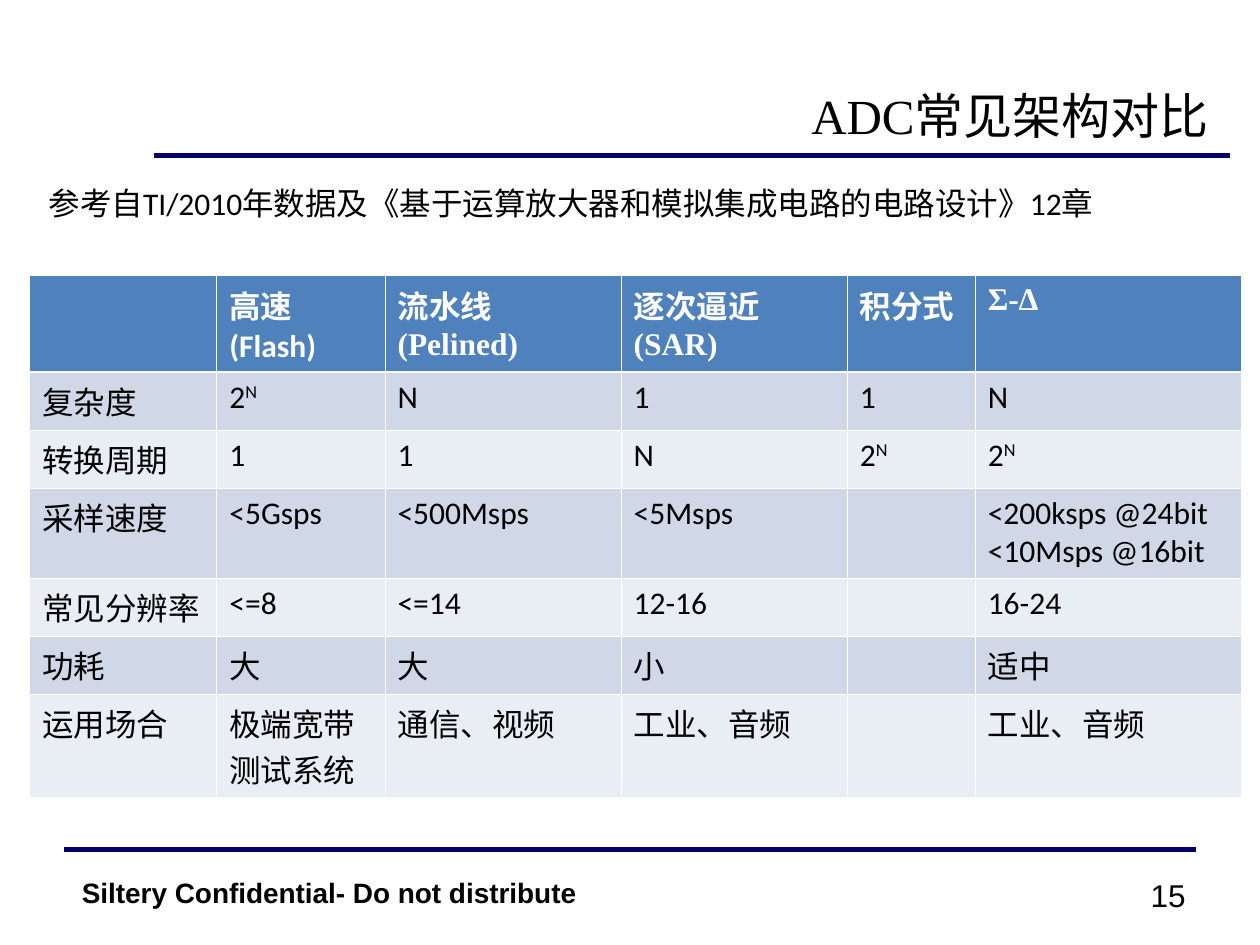
from dataclasses import dataclass

from lxml.etree import SubElement
from pptx import Presentation
from pptx.dml.color import RGBColor
from pptx.enum.shapes import MSO_CONNECTOR
from pptx.enum.text import MSO_ANCHOR, MSO_AUTO_SIZE, PP_ALIGN
from pptx.oxml.ns import qn
from pptx.util import Cm, Pt


@dataclass(frozen=True)
class Theme:
    text: str = "000000"
    rule: str = "000066"
    header_fill: str = "4F81BD"
    header_text: str = "FFFFFF"
    border: str = "FFFFFF"
    bands: tuple = ("D0D8E8", "E9EDF4")
    serif: str = "Times New Roman"
    body: str = "Calibri"
    footer: str = "Arial"
    title_size: int = 28
    body_size: int = 18
    footer_size: int = 16
    rule_width: int = 3
    thin_border: float = 0.45
    thick_border: float = 1.47


@dataclass(frozen=True)
class Box:
    """A region in centimetres."""
    left: float
    top: float
    width: float
    height: float

    def lengths(self):
        return Cm(self.left), Cm(self.top), Cm(self.width), Cm(self.height)


THEME = Theme()
COLUMN_WIDTHS = (3.77, 3.39, 4.76, 4.56, 2.58, 5.36)
ROW_HEIGHTS = (1.94, 1.17, 1.17, 1.81, 1.17, 1.17, 2.09)
# A caret raises what follows it; a line break starts a new paragraph.
ROWS = (
    ("", "高速(Flash)", "流水线(Pelined)", "逐次逼近(SAR)", "积分式", "Σ-∆"),
    ("复杂度", "2^N", "N", "1", "1", "N"),
    ("转换周期", "1", "1", "N", "2^N", "2^N"),
    ("采样速度", "<5Gsps", "<500Msps", "<5Msps", "", "<200ksps @24bit\n<10Msps @16bit"),
    ("常见分辨率", "<=8", "<=14", "12-16", "", "16-24"),
    ("功耗", "大", "大", "小", "", "适中"),
    ("运用场合", "极端宽带测试系统", "通信、视频", "工业、音频", "", "工业、音频"),
)


def add_run(paragraph, text, font_name, size, color=THEME.text, bold=False):
    run = paragraph.add_run()
    run.text = text
    run.font.name = font_name
    run.font.size = Pt(size)
    run.font.bold = bold
    run.font.color.rgb = RGBColor.from_string(color)
    return run


def add_label(slide, box, text, font_name, size, alignment=PP_ALIGN.LEFT, bold=False):
    frame = slide.shapes.add_textbox(*box.lengths()).text_frame
    frame.word_wrap = False
    frame.auto_size = MSO_AUTO_SIZE.SHAPE_TO_FIT_TEXT
    paragraph = frame.paragraphs[0]
    paragraph.alignment = alignment
    add_run(paragraph, text, font_name, size, bold=bold)


def add_rule(slide, left, top, width):
    rule = slide.shapes.add_connector(
        MSO_CONNECTOR.STRAIGHT, Cm(left), Cm(top), Cm(left + width), Cm(top))
    rule.line.color.rgb = RGBColor.from_string(THEME.rule)
    rule.line.width = Pt(THEME.rule_width)
    SubElement(rule.element.spPr, qn("a:effectLst"))


def add_heading(slide, box, text):
    """Right-aligned title with a rule beneath it."""
    title = slide.shapes.title
    title.left, title.top, title.width, title.height = box.lengths()
    frame = title.text_frame
    frame.vertical_anchor = MSO_ANCHOR.MIDDLE
    frame.auto_size = MSO_AUTO_SIZE.NONE
    paragraph = frame.paragraphs[0]
    paragraph.alignment = PP_ALIGN.RIGHT
    add_run(paragraph, text, THEME.serif, THEME.title_size)
    add_rule(slide, box.left - 1.32, box.top + box.height + 0.1, 21.69)


def add_footer(slide, box, notice, number):
    """Rule with the notice at its left end and the page number at its right."""
    add_rule(slide, box.left, box.top, box.width)
    add_label(slide, Box(box.left + 0.02, box.top + 0.41, 10.64, 0.94), notice,
              THEME.footer, THEME.footer_size, PP_ALIGN.CENTER, bold=True)
    add_label(slide, Box(box.left + 20.55, box.top + 0.41, 3.4, 1.02), number,
              THEME.footer, THEME.body_size, PP_ALIGN.CENTER)


def set_borders(cell, row_index):
    properties = cell._tc.get_or_add_tcPr()
    thick_side = {0: "lnB", 1: "lnT"}.get(row_index)
    for side in ("lnL", "lnR", "lnT", "lnB"):
        width = THEME.thick_border if side == thick_side else THEME.thin_border
        line = SubElement(properties, qn(f"a:{side}"), w=str(Pt(width)))
        SubElement(SubElement(line, qn("a:solidFill")), qn("a:srgbClr"), val=THEME.border)


def fill_cell(cell, text, row_index, column_index):
    header = row_index == 0
    set_borders(cell, row_index)
    cell.fill.solid()
    cell.fill.fore_color.rgb = RGBColor.from_string(
        THEME.header_fill if header else THEME.bands[(row_index - 1) % 2])
    font_name = THEME.serif if header and column_index > 1 else THEME.body
    color = THEME.header_text if header else THEME.text
    frame = cell.text_frame
    for index, line in enumerate(text.split("\n")):
        paragraph = frame.add_paragraph() if index else frame.paragraphs[0]
        paragraph.font.size = Pt(THEME.body_size)
        base, _, exponent = line.partition("^")
        if base:
            add_run(paragraph, base, font_name, THEME.body_size, color, header)
        if exponent:
            run = add_run(paragraph, exponent, font_name, THEME.body_size, color, header)
            run.font._element.set("baseline", "30000")


def add_comparison_table(slide, left, top):
    box = Box(left, top, sum(COLUMN_WIDTHS), sum(ROW_HEIGHTS))
    table = slide.shapes.add_table(len(ROWS), len(COLUMN_WIDTHS), *box.lengths()).table
    table.horz_banding = False
    for column, width in zip(table.columns, COLUMN_WIDTHS):
        column.width = Cm(width)
    for row_index, (height, texts) in enumerate(zip(ROW_HEIGHTS, ROWS)):
        table.rows[row_index].height = Cm(height)
        for column_index, text in enumerate(texts):
            fill_cell(table.cell(row_index, column_index), text, row_index, column_index)


def main():
    presentation = Presentation()
    presentation.slide_width, presentation.slide_height = Cm(25.4), Cm(19.05)
    slide = presentation.slides.add_slide(presentation.slide_layouts[5])
    add_footer(slide, Box(1.3, 17.12, 22.81, 1.5),
               "Siltery Confidential- Do not distribute", "15")
    add_heading(slide, Box(4.42, 1.59, 20.19, 1.45), "ADC常见架构对比")
    add_comparison_table(slide, 0.6, 5.56)
    add_label(slide, Box(0.73, 3.58, 22.17, 1.02),
              "参考自TI/2010年数据及《基于运算放大器和模拟集成电路的电路设计》12章",
              THEME.body, THEME.body_size)
    presentation.save("out.pptx")


if __name__ == "__main__":
    main()
